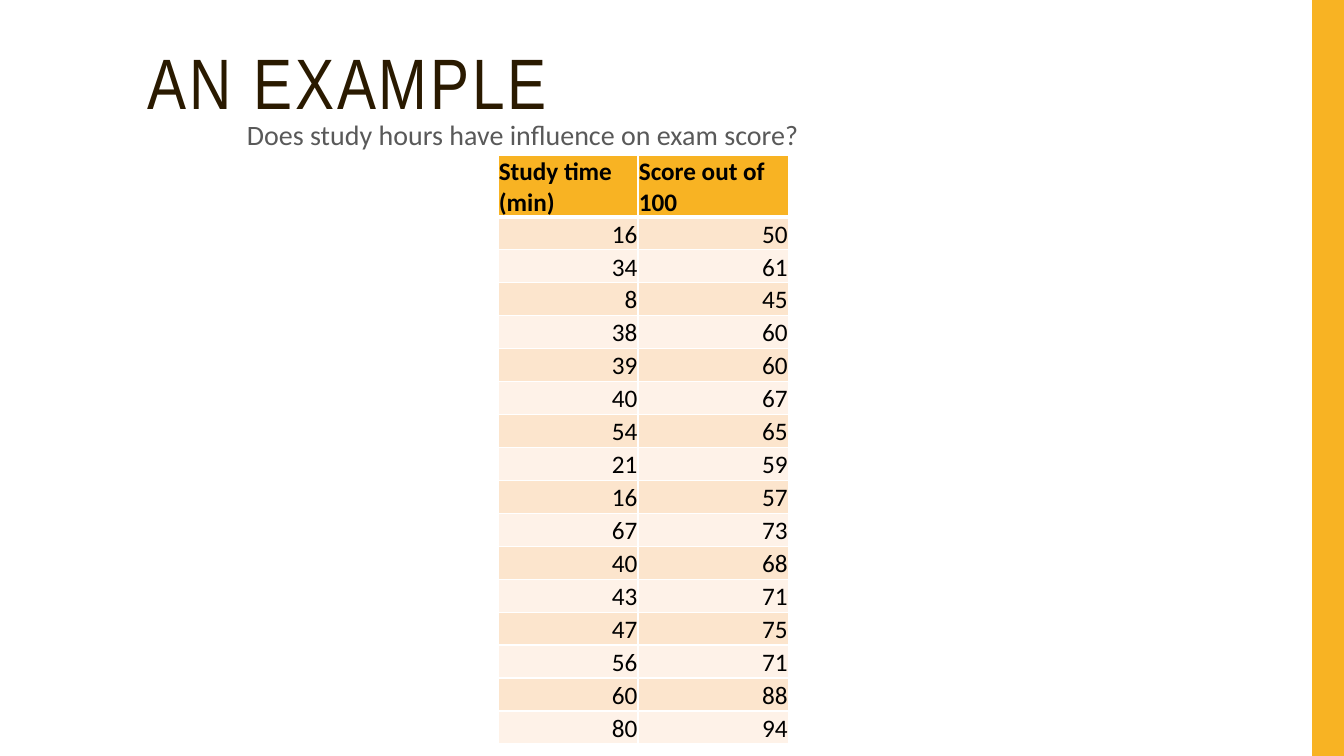
from pptx import Presentation
from pptx.dml.color import RGBColor
from pptx.enum.shapes import MSO_SHAPE
from pptx.enum.text import MSO_ANCHOR, PP_ALIGN
from pptx.oxml.ns import qn
from pptx.util import Cm, Pt
from lxml.etree import SubElement

ACCENT, BANDS = "F8B323", ("FCE5CD", "FEF2E8")
HEADERS = ("Study time (min)", "Score out of 100")
RESULTS = [
    (16, 50), (34, 61), (8, 45), (38, 60), (39, 60), (40, 67), (54, 65), (21, 59),
    (16, 57), (67, 73), (40, 68), (43, 71), (47, 75), (56, 71), (60, 88), (80, 94),
]
COLUMN_WIDTHS = (3.53, 3.79)
HEADER_HEIGHT, ROW_HEIGHT = 1.5, 0.83


def rgb(value):
    """Turn a hex string into a colour."""
    return RGBColor.from_string(value)


def style_runs(p, size, font, color, bold=False, spacing=None):
    """Format every run of a paragraph; spacing is in points."""
    for r in p.runs:
        r.font.size = Pt(size)
        r.font.name = font
        r.font.bold = bold
        r.font.color.rgb = rgb(color)
        if spacing is not None:
            r._r.get_or_add_rPr().set("spc", str(spacing * 100))


def add_text(s, box, text, size, font, color, line_spacing, space_before=0, spacing=None):
    """Add a one-paragraph text box at box (left, top, width, height in cm)."""
    tf = s.shapes.add_textbox(*map(Cm, box)).text_frame
    tf.word_wrap = True
    tf.text = text
    p = tf.paragraphs[0]
    p.line_spacing = line_spacing
    p.space_before = Pt(space_before)
    style_runs(p, size, font, color, spacing=spacing)


def add_bar(s, box, color):
    """Add a plain filled rectangle."""
    sp = s.shapes.add_shape(MSO_SHAPE.RECTANGLE, *map(Cm, box))
    sp.shadow.inherit = False
    sp.fill.solid()
    sp.fill.fore_color.rgb = rgb(color)
    sp.line.fill.background()


def set_borders(cell, color, bottom=1):
    """Draw 1 pt borders round a cell, with its own bottom width."""
    tc_pr = cell._tc.get_or_add_tcPr()
    for side, width in (("L", 1), ("R", 1), ("T", 1), ("B", bottom)):
        ln = SubElement(tc_pr, qn(f"a:ln{side}"), w=str(Pt(width)))
        SubElement(SubElement(ln, qn("a:solidFill")), qn("a:srgbClr"), val=color)


def fill_cell(cell, text, fill, header):
    """Write and style one table cell."""
    cell.margin_left = cell.margin_right = cell.margin_top = Cm(0.02)
    cell.margin_bottom = 0
    cell.vertical_anchor = MSO_ANCHOR.BOTTOM
    set_borders(cell, "FFFFFF", bottom=3 if header else 1)
    cell.fill.solid()
    cell.fill.fore_color.rgb = rgb(fill)
    cell.text_frame.text = str(text)
    p = cell.text_frame.paragraphs[0]
    p.alignment = PP_ALIGN.LEFT if header else PP_ALIGN.RIGHT
    style_runs(p, 18, "Calibri", "000000", bold=header)


def add_results_table(s, left, top):
    """Add the table of study times and scores."""
    rows = [HEADERS, *RESULTS]
    height = HEADER_HEIGHT + ROW_HEIGHT * len(RESULTS)
    table = s.shapes.add_table(len(rows), len(HEADERS), Cm(left), Cm(top),
                               Cm(sum(COLUMN_WIDTHS)), Cm(height)).table
    for column, width in zip(table.columns, COLUMN_WIDTHS):
        column.width = Cm(width)
    for i, values in enumerate(rows):
        header = i == 0
        table.rows[i].height = Cm(HEADER_HEIGHT if header else ROW_HEIGHT)
        fill = ACCENT if header else BANDS[(i - 1) % 2]
        for j, value in enumerate(values):
            fill_cell(table.cell(i, j), value, fill, header)


def main():
    """Build the slide and save it."""
    prs = Presentation()
    prs.slide_width, prs.slide_height = Cm(33.87), Cm(19.05)
    s = prs.slides.add_slide(prs.slide_layouts[6])
    add_bar(s, (33.07, 0, 0.8, 19.05), ACCENT)
    add_text(s, (3.48, 1.07, 28.27, 4.14), "AN EXAMPLE", 51, "Arial Narrow", "2A1A00",
             line_spacing=0.9, spacing=2)
    add_text(s, (5.97, 2.74, 22.28, 16.31), "Does study hours have influence on exam score?",
             20, "Calibri", "595959", line_spacing=1.1, space_before=7)
    add_results_table(s, 12.55, 3.92)
    prs.save("out.pptx")


main()
